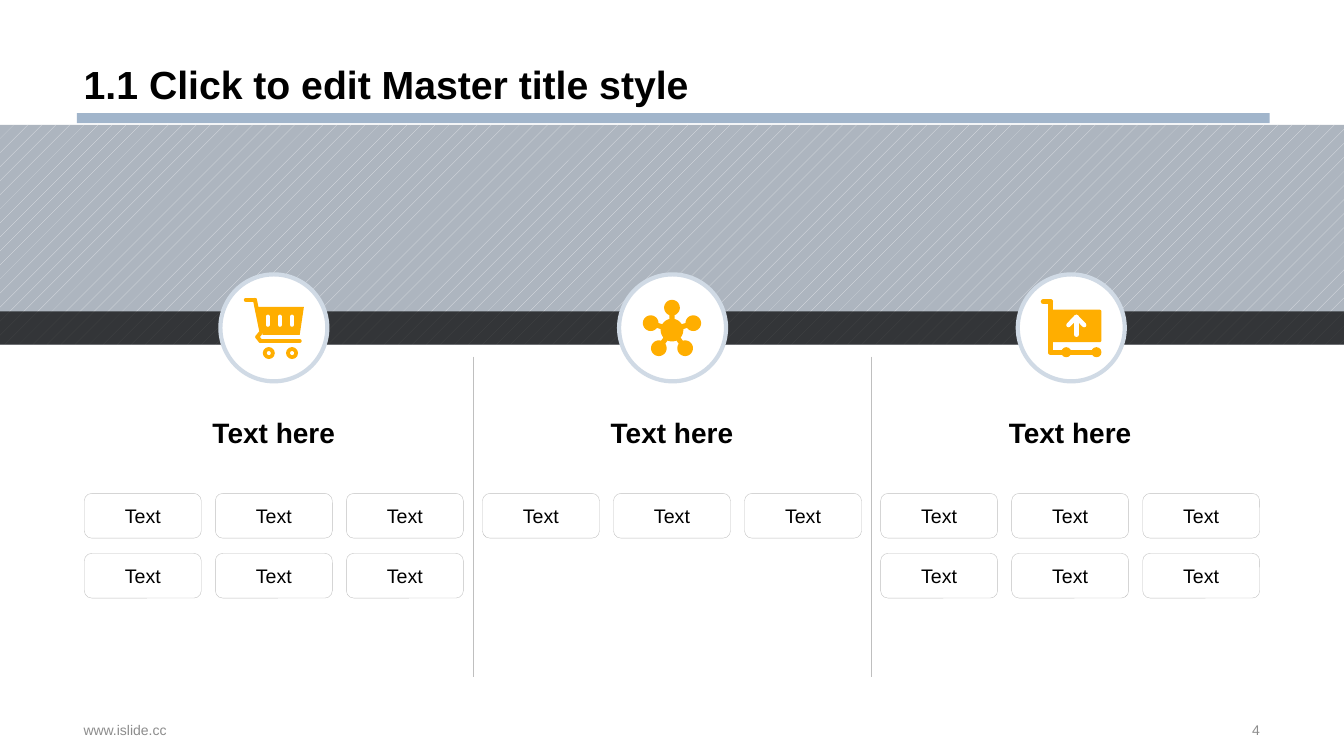
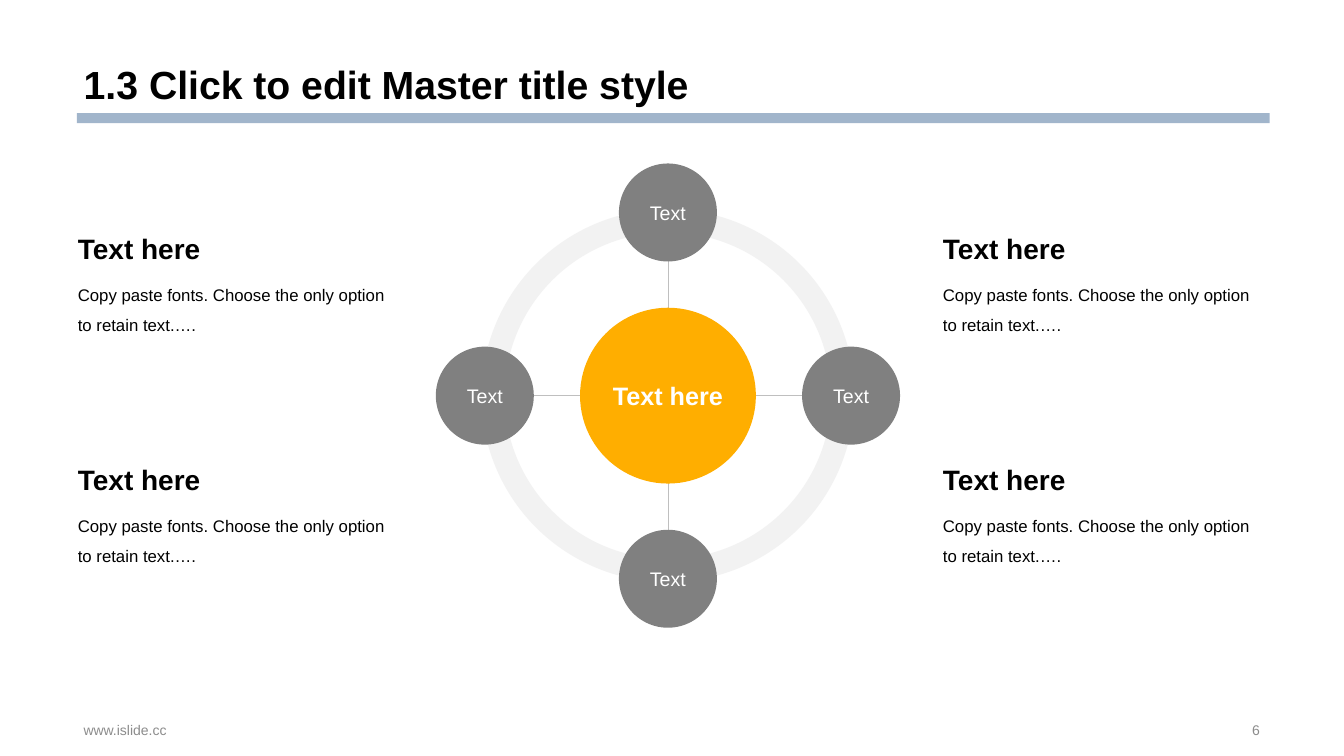
from dataclasses import dataclass
from itertools import pairwise, product
from math import cos, radians, sin

from lxml.etree import SubElement
from pptx import Presentation
from pptx.dml.color import RGBColor
from pptx.enum.dml import MSO_PATTERN
from pptx.enum.shapes import MSO_CONNECTOR, MSO_SHAPE
from pptx.enum.text import MSO_ANCHOR, MSO_AUTO_SIZE, PP_ALIGN
from pptx.oxml.ns import qn
from pptx.util import Pt


@dataclass(frozen=True)
class Theme:
    font: str = "Arial"
    black: str = "000000"
    white: str = "FFFFFF"
    accent: str = "FFAE00"
    rule: str = "A1B5CB"
    band: str = "ADB5BF"
    band_dots: str = "E4E6EA"
    badge_edge: str = "D0DAE5"
    hairline: str = "BFBFBF"
    ring: str = "F2F2F2"
    node: str = "808080"
    footer: str = "8C8C8C"
    title_size: float = 28
    heading_size: float = 20
    hub_size: float = 18
    label_size: float = 14
    body_size: float = 12
    footer_size: float = 10


THEME = Theme()
PAGE_WIDTH, PAGE_HEIGHT = 960, 540


def rgb(color):
    return RGBColor.from_string(color)


def set_all(target, values):
    for name, value in values.items():
        setattr(target, name, value)


def write(shape, text, size, color=THEME.black, bold=False, align=PP_ALIGN.LEFT,
          anchor=MSO_ANCHOR.MIDDLE, spacing=1.0, insets=(0, 0)):
    frame = shape.text_frame
    side, edge = map(Pt, insets)
    set_all(frame, {
        "word_wrap": True, "auto_size": MSO_AUTO_SIZE.NONE, "vertical_anchor": anchor,
        "margin_left": side, "margin_right": side, "margin_top": edge, "margin_bottom": edge,
    })
    para = frame.paragraphs[0]
    set_all(para, {"alignment": align, "line_spacing": spacing, "space_before": Pt(0)})
    span = para.add_run()
    span.text = text
    set_all(span.font, {"name": THEME.font, "size": Pt(size), "bold": bold})
    span.font.color.rgb = rgb(color)


def paint(shape, fill, edge=None, edge_width=0.25):
    shape.shadow.inherit = False
    shape.fill.solid()
    shape.fill.fore_color.rgb = rgb(fill)
    if edge:
        shape.line.color.rgb = rgb(edge)
        shape.line.width = Pt(edge_width)
    else:
        shape.line.fill.background()
    return shape


def add_block(canvas, kind, left, top, width, height, fill, **edge):
    shape = canvas.shapes.add_shape(kind, Pt(left), Pt(top), Pt(width), Pt(height))
    return paint(shape, fill, **edge)


def add_disc(canvas, x, y, radius, fill, **edge):
    return add_block(canvas, MSO_SHAPE.OVAL, x - radius, y - radius,
                     2 * radius, 2 * radius, fill, **edge)


def add_text(page, left, top, width, height, text, size, **style):
    box = page.shapes.add_textbox(Pt(left), Pt(top), Pt(width), Pt(height))
    write(box, text, size, **style)


def add_line(canvas, start, end, color=THEME.hairline, width=0.25, cap="flat"):
    line = canvas.shapes.add_connector(MSO_CONNECTOR.STRAIGHT, *map(Pt, (*start, *end)))
    line.line.color.rgb = rgb(color)
    line.line.width = Pt(width)
    line.element.spPr.find(qn("a:ln")).set("cap", cap)
    SubElement(line.element.spPr, qn("a:effectLst"))


def add_stroke(canvas, x, y, points, width, color=THEME.accent):
    placed = [(x + dx, y + dy) for dx, dy in points]
    for start, end in pairwise(placed):
        add_line(canvas, start, end, color, width, "rnd")


def add_outline(canvas, x, y, points):
    placed = [(Pt(x + dx), Pt(y + dy)) for dx, dy in points]
    builder = canvas.shapes.build_freeform(*placed[0])
    builder.add_line_segments(placed[1:], close=True)
    paint(builder.convert_to_shape(), THEME.accent)


def arc(center, radius, start, end, steps):
    turns = [radians(start + (end - start) * step / steps) for step in range(steps + 1)]
    return [(center[0] + radius * cos(turn), center[1] + radius * sin(turn)) for turn in turns]


def add_cart_icon(icon, x, y):
    add_outline(icon, x, y, [(-12, -15), (21.5, -15), (18.5, 5), (-8, 5)])
    add_stroke(icon, x, y, [(-20, -20), (-13.5, -20), (-9, 2)], 2.9)
    add_stroke(icon, x, y, [(-9.5, 3.6), (-11.8, 6.5), (-9.5, 9.4), (18.5, 9.4)], 2.9)
    for slot in (-4.4, 4.3, 13):
        add_stroke(icon, x, y, [(slot, -8), (slot, -2.2)], 2.9, THEME.white)
    for wheel in (-3.6, 13):
        add_disc(icon, x + wheel, y + 18, 4.3, THEME.accent)
        add_disc(icon, x + wheel, y + 18, 1.4, THEME.white)


def add_network_icon(icon, x, y):
    points = []
    for angle in range(-90, 270, 72):
        atom = (16 * cos(radians(angle)), 16 * sin(radians(angle)))
        points += arc(atom, 5.6, angle - 161, angle + 161, 24)
        points += arc((0, 0), 8.1, angle + 13, angle + 59, 6)
    add_outline(icon, x - 0.4, y + 1.6, points)


def add_trolley_icon(icon, x, y):
    crate = add_block(icon, MSO_SHAPE.ROUNDED_RECTANGLE, x - 15, y - 13, 36.6, 23.3, THEME.accent)
    crate.adjustments[0] = 0.06
    add_stroke(icon, x, y, [(-20, -18.7), (-14.8, -18.7), (-14.8, 17.4), (18, 17.4)], 3.6)
    add_stroke(icon, x, y, [(3.6, 4.8), (3.6, -7.5)], 3.4, THEME.white)
    add_stroke(icon, x, y, [(-2, -2), (3.6, -7.8), (9.2, -2)], 3.2, THEME.white)
    for wheel in (-3.6, 18):
        add_disc(icon, x + wheel, y + 17.4, 3.6, THEME.accent)


def add_page(deck, title, number):
    page = deck.slides.add_slide(deck.slide_layouts[5])
    heading = page.shapes.title
    set_all(heading, {"left": Pt(52.6), "top": Pt(0), "width": Pt(854.4), "height": Pt(80.5)})
    write(heading, title, THEME.title_size, bold=True, anchor=MSO_ANCHOR.BOTTOM,
          spacing=0.9, insets=(7.2, 3.6))
    add_block(page, MSO_SHAPE.RECTANGLE, 55, 80.8, 852, 7.2, THEME.rule)
    footers = [(52.6, 326, "www.islide.cc", PP_ALIGN.LEFT), (678, 229, number, PP_ALIGN.RIGHT)]
    for left, width, text, align in footers:
        add_text(page, left, 513, width, 16.5, text, THEME.footer_size,
                 color=THEME.footer, align=align, insets=(7.2, 0))
    return page


def add_banner(page):
    band = add_block(page, MSO_SHAPE.RECTANGLE, 0, 89.2, PAGE_WIDTH, 157, THEME.band)
    band.fill.patterned()
    band.fill.pattern = MSO_PATTERN.PERCENT_5
    band.fill.fore_color.rgb = rgb(THEME.band_dots)
    band.fill.back_color.rgb = rgb(THEME.band)
    strip = add_block(page, MSO_SHAPE.RECTANGLE, 0, 222.5, PAGE_WIDTH, 23.7, THEME.black)
    tint = strip.element.spPr.find(qn("a:solidFill"))[0]
    SubElement(tint, qn("a:alpha")).set("val", "70000")


def add_badge(page, x, y, draw_icon):
    add_disc(page, x, y, 38.2, THEME.white, edge=THEME.badge_edge, edge_width=3)
    draw_icon(page.shapes.add_group_shape(), x, y)


def add_column(page, x, rows):
    add_text(page, x - 98.5, 290, 197, 34.5, "Text here", THEME.heading_size, bold=True,
             align=PP_ALIGN.CENTER, anchor=MSO_ANCHOR.BOTTOM, insets=(7.2, 3.6))
    for row, place in product(range(rows), (-1, 0, 1)):
        card = add_block(page, MSO_SHAPE.ROUNDED_RECTANGLE, x + place * 93.6 - 41.8,
                         352.4 + row * 42.8, 83.6, 32, THEME.white, edge=THEME.hairline)
        write(card, "Text", THEME.label_size, align=PP_ALIGN.CENTER)


def add_columns_page(deck):
    page = add_page(deck, "1.1 Click to edit Master title style", "4")
    add_banner(page)
    first, pitch, badge_pitch = 195.6, 284.4, 284.8
    columns = [(add_cart_icon, 2), (add_network_icon, 1), (add_trolley_icon, 2)]
    for index, (draw_icon, rows) in enumerate(columns):
        x = first + index * pitch
        add_badge(page, first + index * badge_pitch, 234.2, draw_icon)
        add_column(page, x, rows)
        if index:
            divider = x - pitch / 2
            add_line(page, (divider, 254.8), (divider, 483.8))


def add_wheel(page, x, y):
    ring = add_block(page, MSO_SHAPE.DONUT, x - 133.2, y - 133.2, 266.4, 266.4, THEME.ring)
    ring.adjustments[0] = 0.062
    add_line(page, (x - 96, y), (x + 96, y))
    add_line(page, (x, y - 96), (x, y + 96))
    hub = add_disc(page, x, y, 62.8, THEME.accent)
    write(hub, "Text here", THEME.hub_size, THEME.white, bold=True, align=PP_ALIGN.CENTER)
    for dx, dy in ((0, -1), (1, 0), (0, 1), (-1, 0)):
        node = add_disc(page, x + dx * 130.8, y + dy * 130.8, 35, THEME.node)
        write(node, "Text", THEME.label_size, THEME.white, align=PP_ALIGN.CENTER)


def add_note(page, left, top):
    shared = {"anchor": MSO_ANCHOR.TOP, "insets": (3.6, 1.8)}
    add_text(page, left, top, 237, 31, "Text here", THEME.heading_size, bold=True, **shared)
    add_text(page, left, top + 31, 237, 49,
             "Copy paste fonts. Choose the only option to retain text.….",
             THEME.body_size, spacing=1.5, **shared)


def add_wheel_page(deck):
    page = add_page(deck, "1.3 Click to edit Master title style", "6")
    add_wheel(page, 477.1, 282.6)
    for left, top in product((52, 669.9), (163.4, 328.4)):
        add_note(page, left, top)


def main():
    deck = Presentation()
    set_all(deck, {"slide_width": Pt(PAGE_WIDTH), "slide_height": Pt(PAGE_HEIGHT)})
    add_columns_page(deck)
    add_wheel_page(deck)
    deck.save("out.pptx")


if __name__ == "__main__":
    main()
